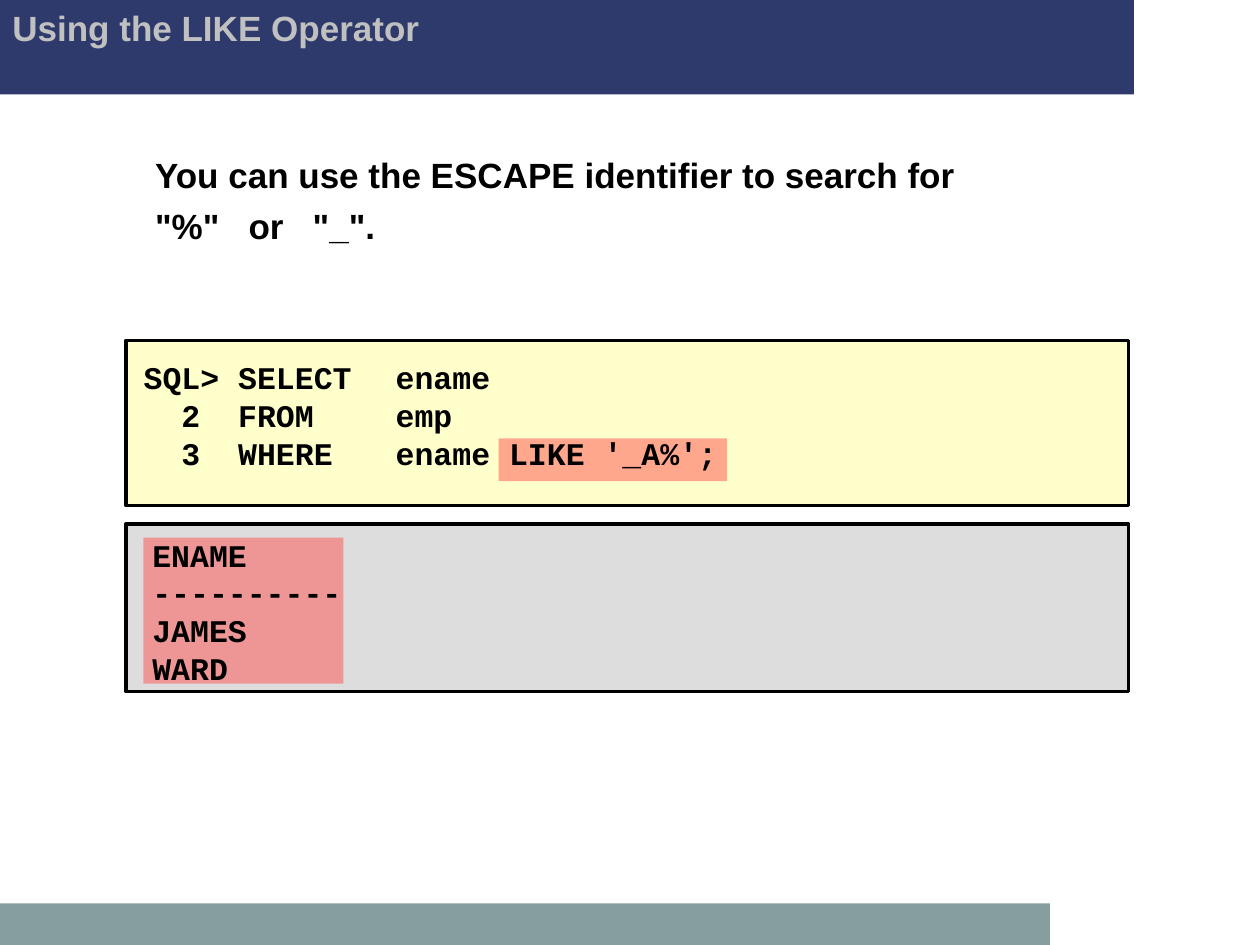
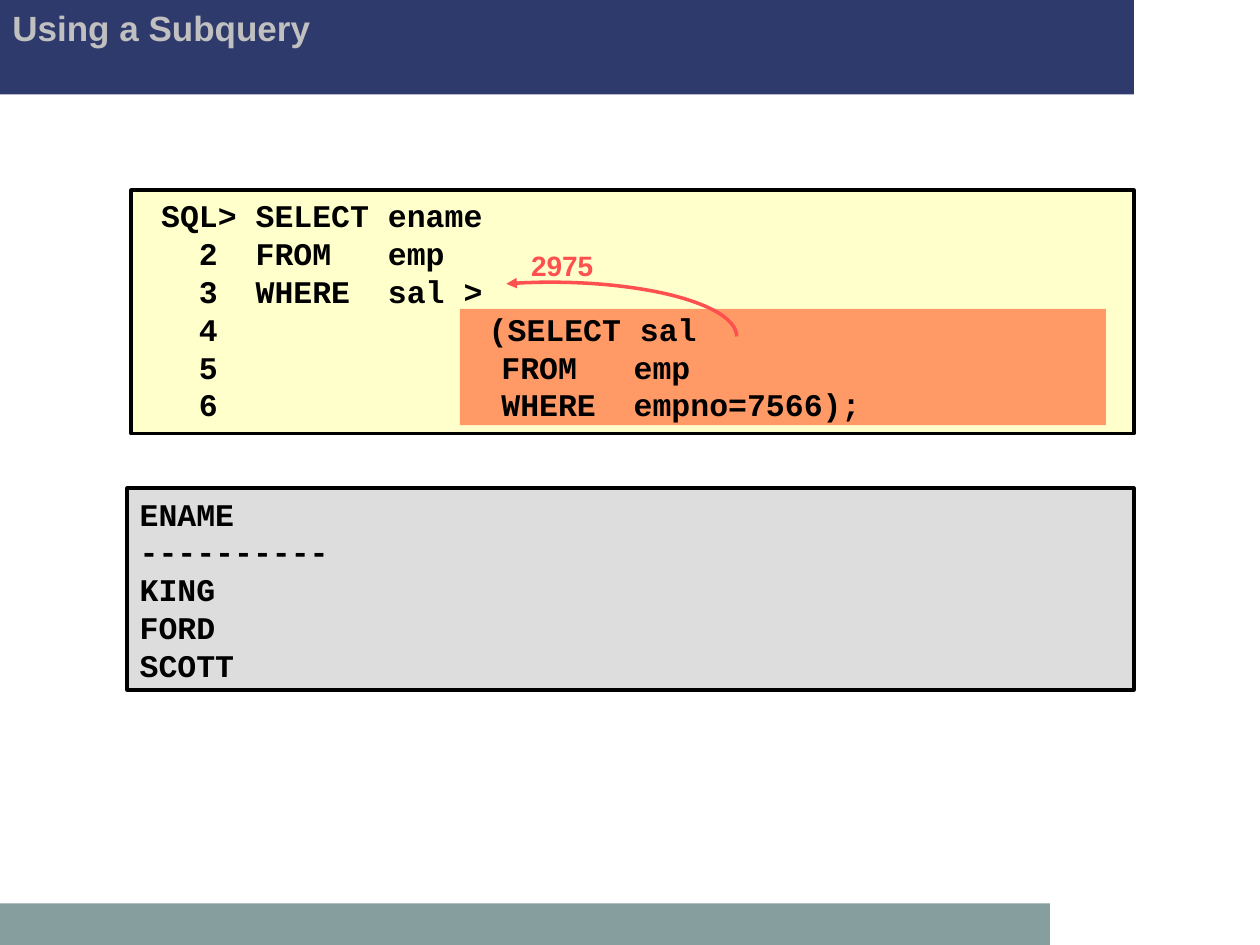
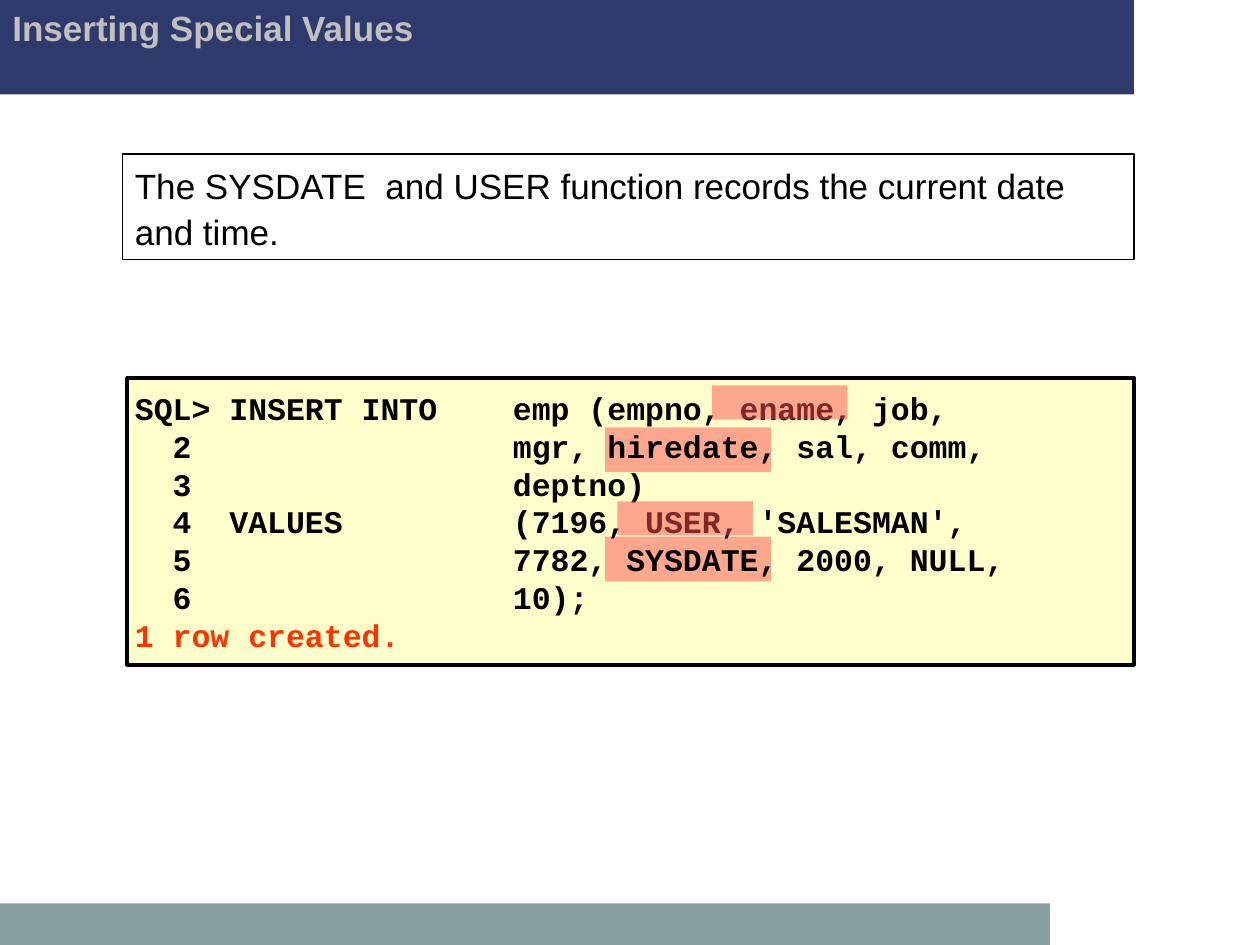
import math

import pptx
import pptx.dml.color
import pptx.enum.shapes
import pptx.enum.text
import pptx.oxml
import pptx.oxml.ns
import pptx.util
from lxml import etree

Pt = pptx.util.Pt
qn = pptx.oxml.ns.qn

COLORS = {
    "navy": "2E3A6C", "teal": "879E9E", "silver": "C0C0C0", "black": "000000",
    "cream": "FFFFCC", "gray": "DDDDDD", "orange": "FF9966", "coral": "FF5050",
    "red": "FF3300",
}
STYLES = {
    "title": {"font": {"name": "Arial", "size": Pt(20), "bold": True}, "color": "silver"},
    "lead": {"font": {"name": "Arial", "size": Pt(20), "bold": True}, "color": "black",
             "para": {"space_before": Pt(5)}},
    "note": {"font": {"name": "Arial", "size": Pt(20), "bold": False}, "color": "black",
             "para": {"line_spacing": 1.1}},
    "label": {"font": {"name": "Arial", "size": Pt(16), "bold": True}, "color": "coral",
              "para": {"line_spacing": 1.2, "alignment": pptx.enum.text.PP_ALIGN.CENTER}},
    "code": {"font": {"name": "Courier New", "size": Pt(18), "bold": True}, "color": "black",
             "tabs": (94.5, 144, 216, 288)},
    "query": {"font": {"name": "Courier New", "size": Pt(18), "bold": True}, "color": "black",
              "tabs": (72, 144, 216, 288)},
}
BANDS = [((0, 0, 648, 54), "navy"), ((0, 516.25, 600, 23.75), "teal")]
TITLE_BOX = (0, 0, 612, 54)

# Parts are listed from back to front; boxes are left, top, width, height.
SLIDES = [
    ("Using the LIKE Operator", [
        ("panel", (72, 194.5, 573, 94.5), "cream"),
        ("panel", (72, 299.5, 573, 95.75), "gray"),
        ("highlight", (285, 250.5, 130.5, 24.5)),
        ("highlight", (82, 307.25, 114.25, 83.5)),
        ("text", (81.5, 84.25, 566.5, 60.5), "lead",
         ["You can use the ESCAPE identifier to search for", '"%"   or   "_".']),
        ("text", (75, 201, 342, 72), "code",
         ["SQL> SELECT\tename", "  2  FROM\temp", "  3  WHERE\tename LIKE '_A%';"]),
        ("text", (80, 302.5, 133, 93.5), "code",
         ["ENAME", "----------", "JAMES", "WARD"]),
    ]),
    ("Using a Subquery", [
        ("panel", (75, 108.75, 573, 139), "cream"),
        ("block", (262.75, 176.5, 369.25, 66.5), "orange"),
        ("arc", (315, 192.25), (106, 31), -14),
        ("text", (296, 134.75, 50.5, 30), "label", ["2975"]),
        ("text", (85, 108.75, 435, 137), "query",
         ["SQL> SELECT ename", "  2  FROM   emp", "  3  WHERE  sal >",
          "  4\t\t    (SELECT sal", "  5               FROM   emp",
          "  6               WHERE  empno=7566);"]),
        ("panel", (72.75, 279, 575.25, 115.25), "gray"),
        ("middle", (72.75, 279, 575.25, 115.25), "code",
         ["ENAME", "----------", "KING", "FORD", "SCOTT"]),
    ]),
    ("Inserting Special Values", [
        ("panel", (72.75, 216, 575.25, 164), "cream"),
        ("panel", (70, 88, 578, 60.5), None, 0.75),
        ("text", (70, 88, 578, 60.5), "note",
         ["The SYSDATE  and USER function records the current date and time."]),
        ("highlight", (345.75, 244.25, 95, 25.5)),
        ("highlight", (345.75, 306.75, 95, 25.5)),
        ("middle", (70, 214.75, 562.25, 166.25), "code",
         ["SQL> INSERT INTO\temp (empno, ename, job,",
          "  2\t\t\tmgr, hiredate, sal, comm,", "  3\t\t\tdeptno)",
          "  4  VALUES\t\t(7196, USER, 'SALESMAN',",
          "  5\t\t\t7782, SYSDATE, 2000, NULL,", "  6\t\t\t10);",
          ("1 row created.", "red")]),
        ("highlight", (406.75, 220.25, 77.5, 19.5)),
        ("highlight", (352.75, 286.5, 77.5, 19.5)),
    ]),
]


def rgb(name):
    return pptx.dml.color.RGBColor.from_string(COLORS[name])


def add_block(s, box, fill, line=0, alpha=None):
    """Add a rectangle; line is the border width, alpha the opacity in percent."""
    sp = s.shapes.add_shape(pptx.enum.shapes.MSO_SHAPE.RECTANGLE, *map(Pt, box))
    sp.shadow.inherit = False
    if fill:
        sp.fill.solid()
        sp.fill.fore_color.rgb = rgb(fill)
    else:
        sp.fill.background()
    if alpha:
        clr = sp.fill._xPr.find(qn("a:solidFill"))[0]
        etree.SubElement(clr, qn("a:alpha"), val=str(alpha * 1000))
    if line:
        sp.line.color.rgb = rgb("black")
        sp.line.width = Pt(line)
    else:
        sp.line.fill.background()


def add_panel(s, box, fill, line=2):
    add_block(s, box, fill, line)


def add_highlight(s, box):
    add_block(s, box, "coral", alpha=50)


def add_text(s, box, style, lines, anchor="TOP"):
    look = STYLES[style]
    tf = s.shapes.add_textbox(*map(Pt, box)).text_frame
    tf.word_wrap = True
    tf.vertical_anchor = pptx.enum.text.MSO_ANCHOR[anchor]
    for i, line in enumerate(lines):
        text, color = line if isinstance(line, tuple) else (line, look["color"])
        p = tf.add_paragraph() if i else tf.paragraphs[0]
        if "tabs" in look:
            tabs = etree.SubElement(p._p.get_or_add_pPr(), qn("a:tabLst"))
            for pos in look["tabs"]:
                etree.SubElement(tabs, qn("a:tab"), pos=str(Pt(pos)), algn="l")
        for key, value in look.get("para", {}).items():
            if i or key != "space_before":
                setattr(p, key, value)
        r = p.add_run()
        r.text = text
        for key, value in look["font"].items():
            setattr(r.font, key, value)
        r.font.color.rgb = rgb(color)


def add_middle(s, box, style, lines):
    add_text(s, box, style, lines, "MIDDLE")


def add_arc(s, center, radii, start, steps=40):
    """Draw an elliptical arc from start degrees past the top to the right, head first."""
    angles = [math.radians(start + (90 - start) * i / steps) for i in range(steps + 1)]
    points = [(Pt(center[0] + radii[0] * math.sin(a)),
               Pt(center[1] - radii[1] * math.cos(a))) for a in angles]
    path = s.shapes.build_freeform(*points[0])
    path.add_line_segments(points[1:], close=False)
    sp = path.convert_to_shape()
    sp.shadow.inherit = False
    sp.fill.background()
    sp.line.color.rgb = rgb("coral")
    sp.line.width = Pt(2)
    etree.SubElement(sp.line._get_or_add_ln(), qn("a:headEnd"), type="triangle")


ADDERS = {"panel": add_panel, "block": add_block, "highlight": add_highlight,
          "text": add_text, "middle": add_middle, "arc": add_arc}


def main():
    prs = pptx.Presentation()
    prs.slide_width, prs.slide_height = Pt(720), Pt(540)
    for title, parts in SLIDES:
        s = prs.slides.add_slide(prs.slide_layouts[6])
        for box, fill in BANDS:
            add_block(s, box, fill)
        add_text(s, TITLE_BOX, "title", [title])
        for kind, *args in parts:
            ADDERS[kind](s, *args)
    prs.save("out.pptx")


if __name__ == "__main__":
    main()
